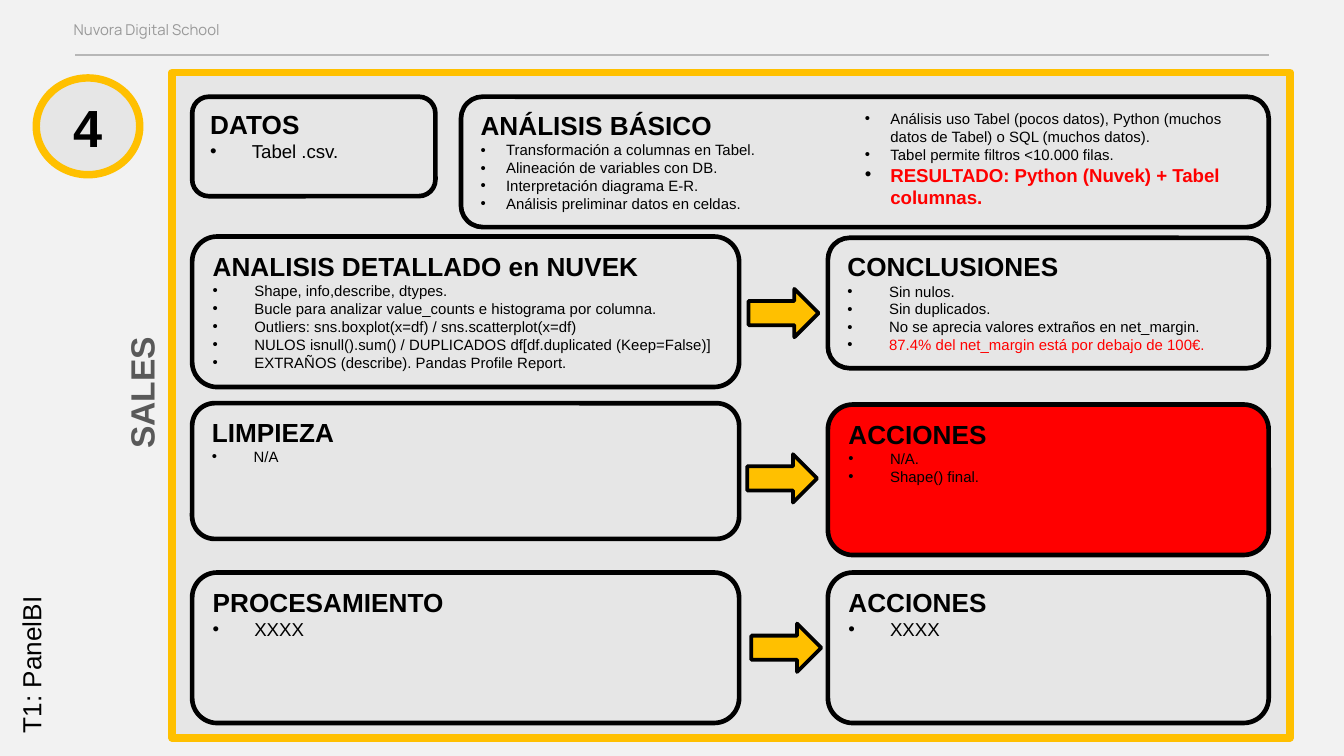
from lxml import etree
from pptx import Presentation
from pptx.dml.color import RGBColor
from pptx.enum.shapes import MSO_CONNECTOR, MSO_SHAPE
from pptx.enum.text import MSO_ANCHOR, MSO_AUTO_SIZE, PP_ALIGN
from pptx.oxml.ns import qn
from pptx.util import Inches, Pt

OVAL, RECT = MSO_SHAPE.OVAL, MSO_SHAPE.RECTANGLE
ROUND, ARROW = MSO_SHAPE.ROUNDED_RECTANGLE, MSO_SHAPE.RIGHT_ARROW
STRAIGHT = MSO_CONNECTOR.STRAIGHT
LEFT, JUST = PP_ALIGN.LEFT, PP_ALIGN.JUSTIFY
TOP, FIXED = MSO_ANCHOR.TOP, MSO_AUTO_SIZE.NONE
HEX = {"back": "F2F2F2", "rule": "B7B7B7", "pale": "999999", "dark": "595959",
       "gray": "808080", "gold": "FFC000", "red": "FF0000", "black": "000000"}
RGB = {name: RGBColor.from_string(code) for name, code in HEX.items()}


def draw(kind, box, fill, line, width):
    shape = slide.shapes.add_shape(kind, *map(Inches, box))
    shape.shadow.inherit = False
    if fill:
        shape.fill.solid()
        shape.fill.fore_color.rgb = RGB[fill]
    else:
        shape.fill.background()
    shape.line.color.rgb = RGB[line]
    shape.line.width = Pt(width)
    return shape


def style(para, size, color="black", bold=False, face="Arial", align=LEFT):
    para.alignment = align
    for run in para.runs:
        run.font.name = face
        run.font.size = Pt(size)
        run.font.bold = bold
        run.font.color.rgb = RGB[color]


deck = Presentation()
deck.slide_width = Inches(10)
deck.slide_height = Inches(10) * 9 // 16
slide = deck.slides.add_slide(deck.slide_layouts[5])
slide.background.fill.solid()
slide.background.fill.fore_color.rgb = RGB["back"]

rule = slide.shapes.add_connector(
    STRAIGHT, Inches(0.56), Inches(0.41), Inches(9.44), Inches(0.41))
rule.line.color.rgb = RGB["rule"]
rule.line.width = Pt(0.75)
etree.SubElement(rule._element.spPr, qn("a:effectLst"))

for kind, box in [(OVAL, (0.27, 0.58, 0.77, 0.72)), (RECT, (1.28, 0.54, 8.32, 4.95))]:
    frame = draw(kind, box, "gray", "gold", 4)
    tint = frame._element.spPr.find(qn("a:solidFill"))[0]
    etree.SubElement(tint, qn("a:alpha"), val="10000")

labels = [
    ("SALES", (-0.79, 1.4, 3.68, 0.4), 270, 18, "dark", True, "Arial", 0.05),
    ("Nuvora Digital School", (0.45, 0.05, 4.3, 0.38), 0, 8, "pale", False, "Manrope", 0.1),
    ("4", (0.45, 0.66, 0.32, 0.57), 0, 28, "black", True, "Arial", 0.05),
    ("T1: PanelBI", (-0.86, 4.29, 2.19, 0.34), 270, 14, "black", False, "Arial", 0.05),
]
for text, box, turn, size, color, bold, face, pad in labels:
    if text == "SALES":
        label = slide.shapes.title
    else:
        label = slide.shapes.add_textbox(0, 0, 0, 0)
    label.left, label.top, label.width, label.height = map(Inches, box)
    label.rotation = turn
    body = label.text_frame
    body.text = text
    body.word_wrap = True
    body.auto_size = FIXED
    body.vertical_anchor = TOP
    body.margin_left = body.margin_right = Inches(0.1)
    body.margin_top = body.margin_bottom = Inches(pad)
    style(body.paragraphs[0], size, color, bold, face)

wide, side = (1.43, 4.07), (6.16, 3.28)
cards = [
    ("DATOS", (1.43, 1.81), 0.72, 0.74, 10, ["Tabel .csv."]),
    ("ANÁLISIS BÁSICO", (3.43, 6.01), 0.72, 0.97, 8, [
        "Transformación a columnas en Tabel.",
        "Alineación de variables con DB.",
        "Interpretación diagrama E-R.",
        "Análisis preliminar datos en celdas.",
        "Análisis uso Tabel (pocos datos), Python (muchos datos de Tabel) "
        "o SQL (muchos datos).",
        "Tabel permite filtros <10.000 filas.",
        "RESULTADO: Python (Nuvek) + Tabel columnas."]),
    ("ANALISIS DETALLADO en NUVEK", wide, 1.76, 1.12, 8, [
        "Shape, info,describe, dtypes.",
        "Bucle para analizar value_counts e histograma por columna.",
        "Outliers: sns.boxplot(x=df) / sns.scatterplot(x=df)",
        "NULOS isnull().sum() / DUPLICADOS df[df.duplicated (Keep=False)]",
        "EXTRAÑOS (describe). Pandas Profile Report."]),
    ("CONCLUSIONES", side, 1.77, 0.97, 8, [
        "Sin nulos.",
        "Sin duplicados.",
        "No se aprecia valores extraños en net_margin.",
        "87.4% del net_margin está por debajo de 100€."]),
    ("LIMPIEZA", wide, 3, 1.01, 8, ["N/A"]),
    ("ACCIONES", side, 3.01, 1.12, 8, ["N/A.", "Shape() final."]),
    ("PROCESAMIENTO", wide, 4.26, 1.12, 10, ["XXXX"]),
    ("ACCIONES", side, 4.26, 1.12, 10, ["XXXX"]),
]
for head, (left, width), top, height, size, items in cards:
    fill = "red" if "N/A." in items else None
    card = draw(ROUND, (left, top, width, height), fill, "black", 2.5)
    body = card.text_frame
    body.word_wrap = True
    body.auto_size = FIXED
    body.vertical_anchor = TOP
    body.text = head
    style(body.paragraphs[0], 14, bold=True)
    split = head == "ANÁLISIS BÁSICO"
    if split:
        body._txBody.bodyPr.set("numCol", "2")
    dent = Inches(0.19 if split else 0.31)
    for item in items:
        para = body.add_paragraph()
        para.text = item
        props = para._p.get_or_add_pPr()
        props.set("marL", str(dent))
        props.set("indent", str(-dent))
        tone = etree.SubElement(props, qn("a:buClr"))
        etree.SubElement(tone, qn("a:srgbClr"), val=HEX["black"])
        etree.SubElement(props, qn("a:buFont"), typeface="Arial")
        etree.SubElement(props, qn("a:buChar"), char="•")
        result = item.startswith("RESULTADO")
        color = "red" if result or item.startswith("87.4%") else "black"
        align = JUST if "DETALLADO" in head else LEFT
        style(para, 10 if result else size, color, result, align=align)

for left, top in [(5.57, 2.15), (5.56, 3.38), (5.59, 4.64)]:
    draw(ARROW, (left, top, 0.52, 0.36), "gold", "black", 2)

deck.save("out.pptx")
